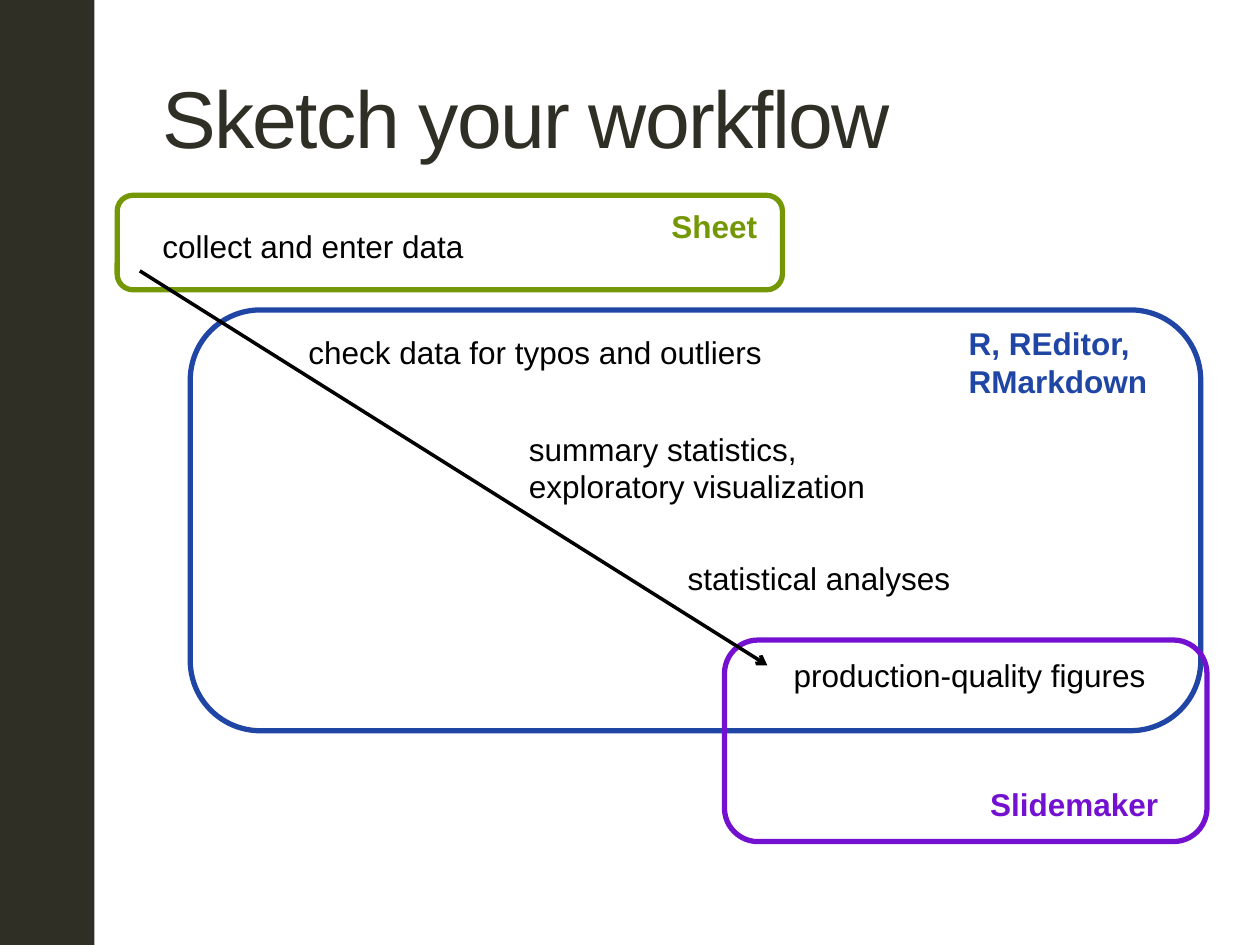
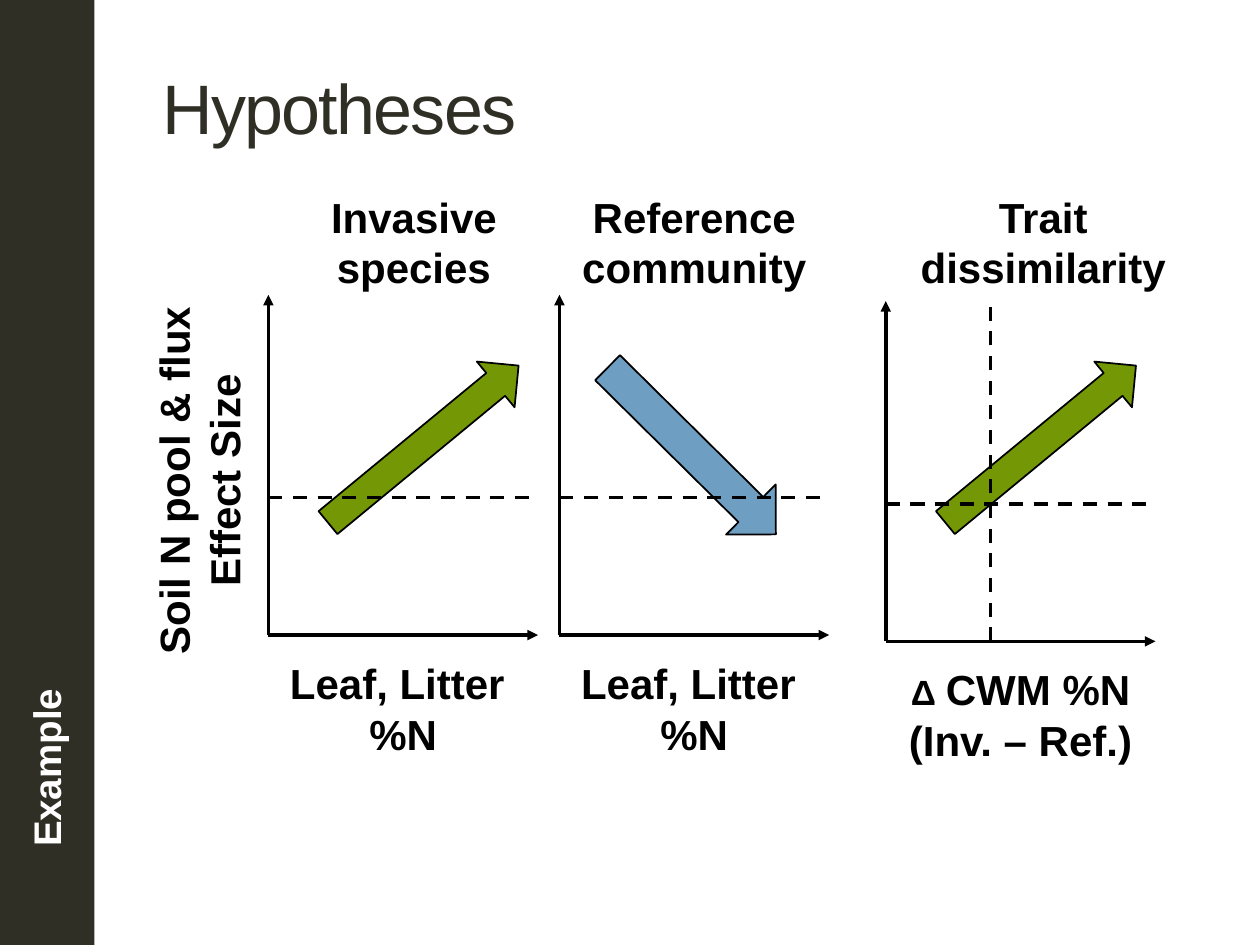
import pptx
import pptx.dml.color
import pptx.enum.dml
import pptx.enum.shapes
import pptx.enum.text
import pptx.oxml
import pptx.oxml.ns
import pptx.util

Inches = pptx.util.Inches
Pt = pptx.util.Pt
RGBColor = pptx.dml.color.RGBColor
SHAPE = pptx.enum.shapes.MSO_SHAPE
ALIGN = pptx.enum.text.PP_ALIGN
FIT = pptx.enum.text.MSO_AUTO_SIZE

DARK = RGBColor(0x2F, 0x2F, 0x26)
BLACK = RGBColor(0, 0, 0)
WHITE = RGBColor(0xFF, 0xFF, 0xFF)
GREEN = RGBColor(0x74, 0x98, 0x05)
BLUE = RGBColor(0x20, 0x46, 0xA5)
PURPLE = RGBColor(0x74, 0x11, 0xD0)
SKY = RGBColor(0x6E, 0x9E, 0xC2)

STEP = {"name": "Arial", "size": Pt(18), "bold": False}
TOOL = {**STEP, "bold": True}
HEAD = {**TOOL, "size": Pt(24)}
SMALL = {**HEAD, "size": Pt(20)}
SIDE = {**HEAD, "size": Pt(22)}
TITLE = {"name": "Arial", "bold": False}


def style(font, values, color):
    """Apply a dict of format values and a colour to a font."""
    for key, value in values.items():
        setattr(font, key, value)
    font.color.rgb = color


def label(slide, box, lines, values, color=BLACK, wrap=False,
          align=ALIGN.LEFT, turn=0, lead=""):
    """Add a text box with one paragraph per line and an optional small lead."""
    shape = slide.shapes.add_textbox(*map(Inches, box))
    shape.rotation = turn
    frame = shape.text_frame
    frame.word_wrap = wrap
    frame.auto_size = FIT.SHAPE_TO_FIT_TEXT
    for num, line in enumerate(lines):
        para = frame.add_paragraph() if num else frame.paragraphs[0]
        para.alignment = align
        if lead:
            run = para.add_run()
            run.text = lead
            style(run.font, SMALL, color)
        run = para.add_run()
        run.text = line
        style(run.font, values, color)


def block(slide, kind, box, fill=None, line=None, width=1, turn=0):
    """Add a preset shape with the given fill and outline."""
    shape = slide.shapes.add_shape(kind, *map(Inches, box))
    shape.shadow.inherit = False
    shape.rotation = turn
    if fill is None:
        shape.fill.background()
    else:
        shape.fill.solid()
        shape.fill.fore_color.rgb = fill
    if line is None:
        shape.line.fill.background()
    else:
        shape.line.color.rgb = line
        shape.line.width = Pt(width)


def rule(slide, start, end, tip=None):
    """Add a black line, dashed unless it ends in an arrow tip."""
    straight = pptx.enum.shapes.MSO_CONNECTOR.STRAIGHT
    link = slide.shapes.add_connector(straight, *map(Inches, (*start, *end)))
    link.line.color.rgb = BLACK
    link.line.width = Pt(2)
    if tip:
        make = pptx.oxml.parse_xml
        space = pptx.oxml.ns.nsdecls("a")
        link.line._get_or_add_ln().append(make(f'<a:tailEnd {space} type="{tip}"/>'))
    else:
        link.line.dash_style = pptx.enum.dml.MSO_LINE.DASH
    props = link._element.spPr
    props.append(pptx.oxml.parse_xml(f'<a:effectLst {pptx.oxml.ns.nsdecls("a")}/>'))


def page(deck, text, size, height):
    """Add a slide with the dark side band and a title."""
    slide = deck.slides.add_slide(deck.slide_layouts[5])
    block(slide, SHAPE.RECTANGLE, (0, 0, 0.75, 7.5), DARK)
    title = slide.shapes.title
    spot = {"left": 1.19, "top": 0.3, "width": 8.33, "height": height}
    for key, value in spot.items():
        setattr(title, key, Inches(value))
    frame = title.text_frame
    frame.auto_size = FIT.NONE
    frame.vertical_anchor = pptx.enum.text.MSO_ANCHOR.MIDDLE
    para = frame.paragraphs[0]
    para.alignment = ALIGN.LEFT
    run = para.add_run()
    run.text = text
    style(run.font, {**TITLE, "size": Pt(size)}, DARK)
    run.font._element.set("spc", "-100")
    return slide


def flow(slide, left, top):
    """Draw the workflow steps, the tool frames and the arrow across them."""
    steps = [
        (0.26, 0.2, 2.62, 0.4, "collect and enter data"),
        (1.42, 1.04, 3.84, 0.4, "check data for typos and outliers"),
        (3.17, 1.81, 2.93, 0.71, "summary statistics, exploratory visualization"),
        (4.43, 2.84, 2.31, 0.4, "statistical analyses"),
        (5.27, 3.61, 3.02, 0.4, "production-quality figures"),
    ]
    frames = [
        (0, 0, 5.28, 0.75, GREEN),
        (0.58, 0.91, 8.02, 3.34, BLUE),
        (4.82, 3.53, 3.83, 1.6, PURPLE),
    ]
    tools = [
        (4.3, 0.04, 0.95, 0.4, ["Sheet"], GREEN),
        (6.66, 0.97, 1.63, 0.71, ["R, REditor,", "RMarkdown"], BLUE),
        (6.83, 4.63, 1.58, 0.4, ["Slidemaker"], PURPLE),
    ]
    for x, y, wide, high, text in steps:
        label(slide, (left + x, top + y, wide, high), [text], STEP, wrap=high > 0.4)
    for x, y, wide, high, color in frames:
        block(slide, SHAPE.ROUNDED_RECTANGLE, (left + x, top + y, wide, high),
              line=color, width=3)
    rule(slide, (left + 0.18, top + 0.6), (left + 5.16, top + 3.73), "arrow")
    for x, y, wide, high, lines, color in tools:
        label(slide, (left + x, top + y, wide, high), lines, TOOL, color)


def graph(slide, left, top, head, wide, foot, arrow, drop=0, lead="", split=False):
    """Draw one sketch graph with heading, axes, trend arrow and caption."""
    span, base = 2.14, top + 3.57 + drop
    x, y, long, high, turn, color = arrow
    block(slide, SHAPE.RIGHT_ARROW, (left + x, top + y, long, high), color, BLACK, 1, turn)
    rule(slide, (left, base), (left + span, base), "triangle")
    rule(slide, (left, base), (left, base - 2.7), "triangle")
    rule(slide, (left, base - 1.09), (left + span, base - 1.09))
    if split:
        rule(slide, (left + 0.83, base), (left + 0.83, base - 2.71))
    label(slide, (left, top, wide, 0.91), [head], HEAD, wrap=True, align=ALIGN.CENTER)
    label(slide, (left, base + 0.13, span, 0.91), foot, HEAD, wrap=True,
          align=ALIGN.CENTER, lead=lead)


def main():
    """Build both slides and save the deck."""
    deck = pptx.Presentation()
    deck.slide_width, deck.slide_height = Inches(10), Inches(7.5)

    flow(page(deck, "Sketch your workflow", 46, 1.25), 0.93, 1.55)

    slide = page(deck, "Hypotheses", 40, 1.09)
    rise = (0.25, 1.82, 1.96, 0.47, 320.5, GREEN)
    fall = (0.11, 1.83, 1.88, 0.56, 44.7, SKY)
    leaf = ["Leaf, Litter ", "%N"]
    graph(slide, 2.13, 1.47, "Invasive species", 2.31, leaf, rise)
    graph(slide, 4.44, 1.47, "Reference community", 2.14, leaf, fall)
    graph(slide, 7.03, 1.47, "Trait dissimilarity", 2.5, ["CWM %N (Inv. – Ref.)"],
          rise, 0.05, "Δ ", True)
    label(slide, (0.02, 3.36, 3.12, 0.91), ["Soil N pool & flux", "Effect Size"],
          HEAD, wrap=True, align=ALIGN.CENTER, turn=270)
    label(slide, (-0.37, 5.85, 1.47, 0.47), ["Example"], SIDE, WHITE, turn=270)

    deck.save("out.pptx")


if __name__ == "__main__":
    main()
